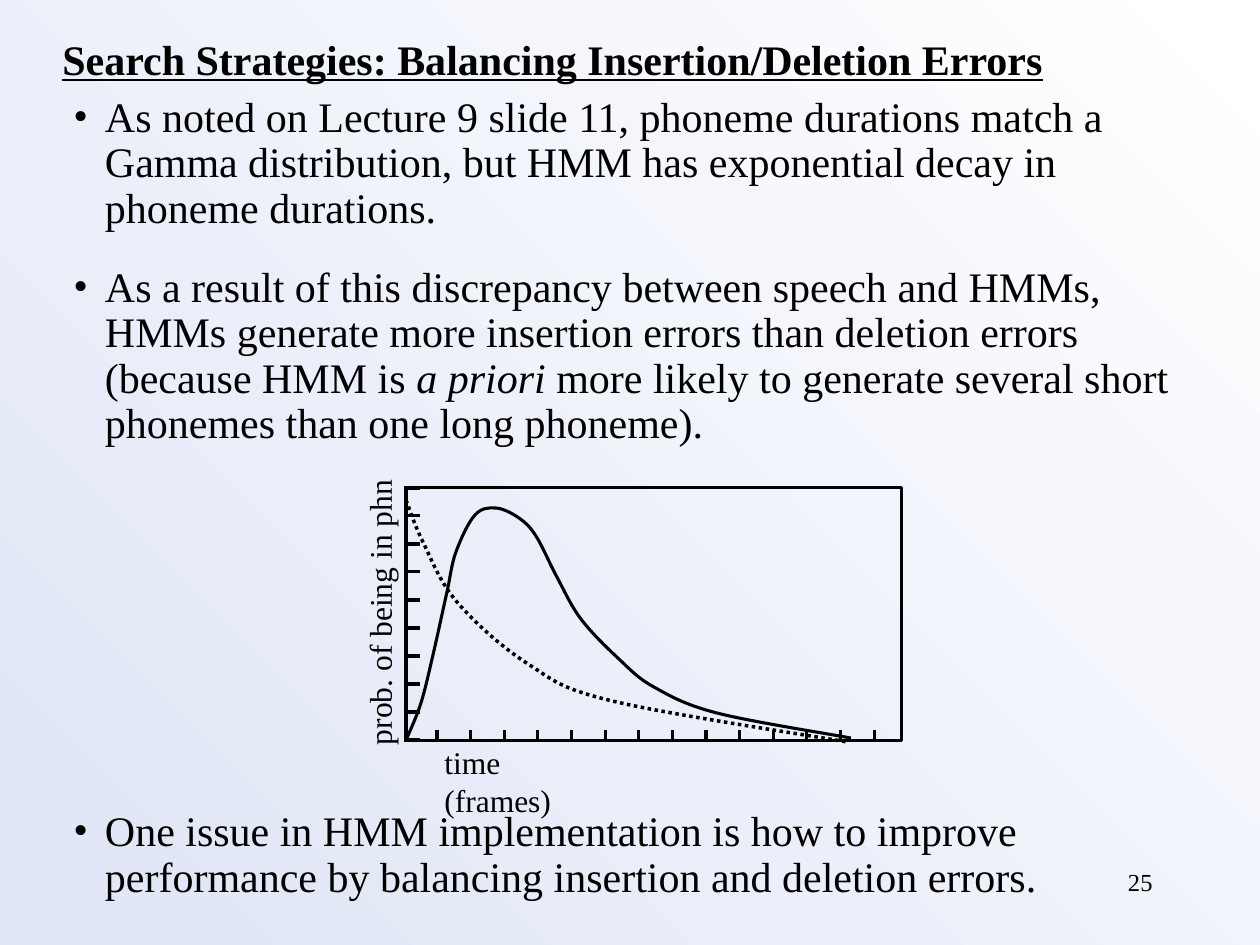
import lxml.etree
import pptx
import pptx.dml.color
import pptx.enum.dml
import pptx.enum.shapes
import pptx.enum.text
import pptx.oxml.ns
import pptx.util

PX = 914400 / 126


def emu(px):
    return pptx.util.Emu(round(px * PX))


def colour(value):
    return pptx.dml.color.RGBColor.from_string(value)


def add_element(parent, tag, **attributes):
    element = lxml.etree.SubElement(parent, pptx.oxml.ns.qn(tag))
    for name, value in attributes.items():
        element.set(name, str(value))
    return element


def smooth_segments(knots):
    padded = [knots[0], *knots, knots[-1]]
    for before, start, end, after in zip(padded, padded[1:], padded[2:], padded[3:]):
        leaving = [a + (b - p) / 6 for p, a, b in zip(before, start, end)]
        arriving = [b - (n - a) / 6 for a, b, n in zip(start, end, after)]
        yield leaving, arriving, end


class Page:
    font = "Times New Roman"
    ink = "000000"
    weight = 1.75

    def __init__(self, slide):
        self.slide = slide
        self.shapes = slide.shapes

    def background(self, first, last):
        fill = self.slide.background.fill
        fill.gradient()
        fill.gradient_angle = 225
        for stop, value in zip(fill.gradient_stops, (first, last)):
            stop.color.rgb = colour(value)

    def style_font(self, font, size):
        font.name = self.font
        font.size = pptx.util.Pt(size)
        font.color.rgb = colour(self.ink)

    def style_line(self, line, weight):
        line.color.rgb = colour(self.ink)
        line.width = pptx.util.Pt(weight)

    def text_box(self, left, top, width, height, wrap=False):
        box = self.shapes.add_textbox(emu(left), emu(top), emu(width), emu(height))
        box.text_frame.word_wrap = wrap
        box.text_frame.auto_size = pptx.enum.text.MSO_AUTO_SIZE.SHAPE_TO_FIT_TEXT
        return box

    def label(self, text, left, top, width, height, size=18):
        box = self.text_box(left, top, width, height)
        box.text_frame.text = text
        self.style_font(box.text_frame.paragraphs[0].runs[0].font, size)
        return box

    def bullet_mark(self, para):
        properties = para._p.get_or_add_pPr()
        properties.set("marL", "228600")
        properties.set("indent", "-228600")
        add_element(add_element(properties, "a:buClr"), "a:srgbClr", val=self.ink)
        add_element(properties, "a:buFont", typeface=self.font)
        add_element(properties, "a:buChar", char="•")

    def bullets(self, items, left, top, width, height, size=24):
        frame = self.text_box(left, top, width, height, wrap=True).text_frame
        for index, (gap, lines) in enumerate(items):
            para = frame.add_paragraph() if index else frame.paragraphs[0]
            self.bullet_mark(para)
            para.line_spacing = 0.9
            if gap:
                para.space_before = pptx.util.Pt(gap)
            for number, line in enumerate(lines):
                if number:
                    para.add_line_break()
                for position, part in enumerate(line.split("*")):
                    span = para.add_run()
                    span.text = part
                    self.style_font(span.font, size)
                    span.font.italic = position % 2 == 1
            self.style_font(para.font, size)
            add_element(para._p, "a:endParaRPr", sz=size * 100)

    def frame(self, left, top, width, height):
        box = self.shapes.add_shape(
            pptx.enum.shapes.MSO_SHAPE.RECTANGLE,
            emu(left), emu(top), emu(width), emu(height))
        box.shadow.inherit = False
        box.fill.background()
        self.style_line(box.line, self.weight)

    def ticks(self, segments):
        group = self.shapes.add_group_shape()
        for segment in segments:
            tick = group.shapes.add_connector(
                pptx.enum.shapes.MSO_CONNECTOR.STRAIGHT, *map(emu, segment))
            self.style_line(tick.line, self.weight)
            add_element(tick._element.spPr, "a:effectLst")

    def curve(self, knots, weight, dash=None):
        points = [(emu(x), emu(y)) for x, y in knots]
        builder = self.shapes.build_freeform(*points[0])
        builder.add_line_segments(points[1:], close=False)
        curve = builder.convert_to_shape()
        straight = list(curve._element.iter(pptx.oxml.ns.qn("a:lnTo")))
        for old, segment in zip(straight, smooth_segments(points)):
            bend = add_element(old.getparent(), "a:cubicBezTo")
            for x, y in segment:
                add_element(bend, "a:pt", x=round(x - curve.left), y=round(y - curve.top))
            old.getparent().replace(old, bend)
        curve.shadow.inherit = False
        curve.fill.background()
        self.style_line(curve.line, weight)
        if dash:
            curve.line.dash_style = dash


BULLETS = [
    (0, ["As noted on Lecture 9 slide 11, phoneme durations match a",
         "Gamma distribution, but HMM has exponential decay in",
         "phoneme durations."]),
    (19.4, ["As a result of this discrepancy between speech and HMMs,",
            "HMMs generate more insertion errors than deletion errors",
            "(because HMM is *a priori* more likely to generate several short",
            "phonemes than one long phoneme)."]),
    (207.4, ["One issue in HMM implementation is how to improve",
             "performance by balancing insertion and deletion errors."]),
]
GAMMA_KNOTS = [
    (407, 738), (421, 703), (433, 655), (447, 592), (456, 552), (475, 515),
    (496, 508), (519, 518), (536, 536), (557, 577), (581, 619), (619, 659),
    (654, 687), (717, 713), (851, 738),
]
DECAY_KNOTS = [
    (406, 500), (423, 542), (457, 602), (528, 664), (612, 701), (847, 742),
]


def main():
    deck = pptx.Presentation()
    deck.slide_width, deck.slide_height = emu(1260), emu(945)
    page = Page(deck.slides.add_slide(deck.slide_layouts[6]))
    page.background("FFFFFF", "DFE5F5")

    title = page.label("Search Strategies: Balancing Insertion/Deletion Errors",
                       50, 27, 1007, 63, size=24)
    title_font = title.text_frame.paragraphs[0].runs[0].font
    title_font.bold = title_font.underline = True

    page.frame(406, 488, 496, 253)
    time_ticks = [437 + 33.63 * i for i in range(14)]
    page.ticks([(x, 730, x, 742) for x in time_ticks])
    page.ticks([(404, y, 420, y) for y in range(740, 487, -28)])

    axis_label = page.label("prob. of being in phn", 237, 589, 290, 47)
    axis_label.rotation = 270
    axis_label.text_frame.paragraphs[0].line_spacing = 0.9
    page.curve(GAMMA_KNOTS, page.weight)
    page.label("time (frames)", 432, 737, 195, 50)
    page.curve(DECAY_KNOTS, 2, pptx.enum.dml.MSO_LINE.ROUND_DOT)

    page.bullets(BULLETS, 61, 90, 1139, 828)
    number = page.label("25", 903, 861, 262, 63, size=14)
    number.text_frame.word_wrap = True
    number.text_frame.auto_size = pptx.enum.text.MSO_AUTO_SIZE.NONE
    number.text_frame.paragraphs[0].alignment = pptx.enum.text.PP_ALIGN.RIGHT
    deck.save("out.pptx")


if __name__ == "__main__":
    main()
